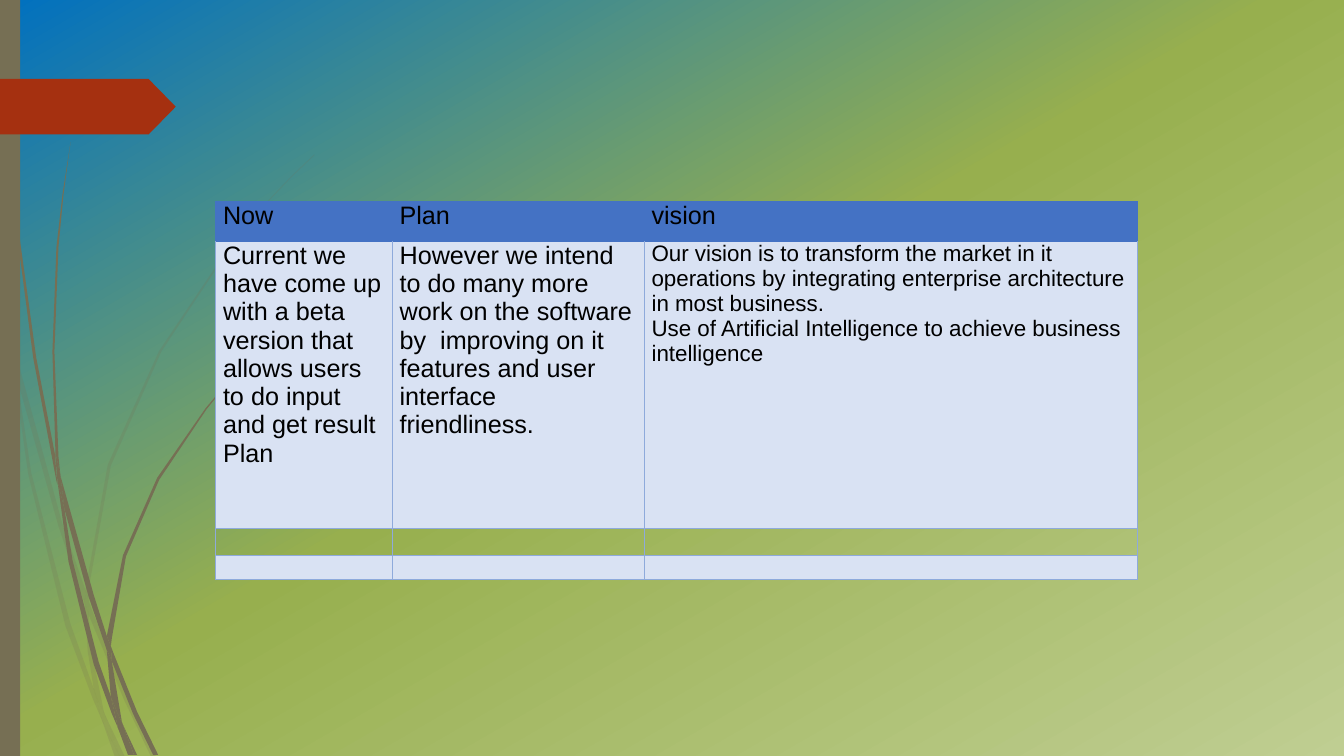
from copy import deepcopy

from lxml.etree import SubElement
from pptx import Presentation
from pptx.dml.color import RGBColor
from pptx.enum.shapes import MSO_SHAPE
from pptx.oxml.ns import qn
from pptx.util import Cm, Pt

COLORS = {
    "sky": "0070C0", "meadow": "97AF4E", "pale": "BFCE92",
    "bark": "766F54", "tag": "A53010", "text": "000000",
    "header": "4472C4", "band": "D9E2F3", "grid": "8EAADB",
}

# Outline corners of the grass blades, in units of GRASS_UNIT.
GRASS_UNIT = Cm(.0254)
FAINT_BLADES = [
    [(11, 350), (9, 322), (0, 282), (0, 299), (10, 344)],
    [(58, 522), (84, 599), (85, 586), (62, 520), (14, 345), (17, 376)],
    [(92, 607), (88, 596), (88, 610), (123, 694), (150, 751), (155, 751),
     (127, 692)],
    [(119, 751), (124, 751), (105, 711)],
    [(93, 683), (70, 619), (31, 469), (17, 376), (11, 350), (28, 470),
     (65, 621), (92, 693), (101, 714), (99, 707)],
    [(84, 599), (87, 646), (93, 683), (96, 692), (105, 711), (103, 706),
     (91, 646), (88, 610), (88, 608)],
    [(88, 584), (110, 462), (160, 349), (229, 245), (268, 198), (290, 175),
     (312, 154), (312, 153), (289, 175), (268, 197), (228, 244), (158, 348),
     (107, 461), (85, 584), (85, 586), (88, 596)],
    [(101, 714), (114, 751), (119, 751)],
    [(88, 608), (88, 610), (88, 596), (85, 586), (84, 599)],
    [(96, 692), (93, 683), (99, 707), (101, 714), (119, 751), (105, 711)],
]
SOLID_BLADES = [
    [(7, 110), (17, 233), (33, 355), (56, 477), (57, 481), (55, 457),
     (55, 453), (36, 355), (19, 232), (8, 109), (5, 48), (4, 0), (3, 0),
     (4, 48)],
    [(88, 592), (106, 645), (106, 633), (106, 631), (93, 590), (60, 472),
     (64, 505)],
    [(113, 649), (110, 641), (111, 656), (132, 708), (152, 749), (157, 749),
     (136, 706)],
    [(110, 691), (98, 657), (72, 556), (64, 505), (57, 477), (68, 557),
     (93, 659), (111, 708), (117, 722), (116, 717)],
    [(60, 472), (58, 453), (54, 349), (58, 245), (63, 193), (70, 141),
     (62, 193), (56, 245), (52, 349), (55, 449)],
    [(133, 749), (136, 749), (122, 719)],
    [(57, 477), (64, 505), (60, 472), (55, 449), (55, 453)],
    [(111, 633), (125, 552), (158, 476), (205, 406), (231, 374), (245, 359),
     (261, 344), (260, 344), (245, 358), (231, 373), (204, 405), (156, 474),
     (122, 551), (106, 631), (110, 641)],
    [(117, 722), (127, 749), (131, 749)],
    [(106, 645), (110, 691), (116, 706), (122, 719), (121, 716), (111, 656),
     (109, 651)],
    [(106, 645), (109, 651), (111, 656), (110, 641), (106, 631), (106, 633)],
    [(116, 706), (110, 691), (116, 717), (117, 722), (130, 749), (133, 749),
     (122, 719)],
]

COLUMN_WIDTHS = [4.45, 6.35, 12.42]
ROW_HEIGHTS = [1.01, 7.22, .69, .61]
ROADMAP = [
    ["Now", "Plan", "vision"],
    ["Current we have come up with a beta version that allows users to do "
     "input and get result\nPlan",
     "However we intend to do many more work on the software by  improving "
     "on it features and user interface friendliness.",
     "Our vision is to transform the market in it operations by integrating "
     "enterprise architecture in most business.\n"
     "Use of Artificial Intelligence to achieve business intelligence"],
    ["", "", ""],
    ["", "", ""],
]
ROW_FILLS = ["header", "band", None, "band"]


def rgb(name):
    return RGBColor.from_string(COLORS[name])


def paint_background(slide):
    fill = slide.background.fill
    fill.gradient()
    fill.gradient_angle = 300
    stop_list = slide.element.find(".//" + qn("a:gsLst"))
    stop_list.append(deepcopy(stop_list[-1]))
    stops = [(0, "sky"), (.48, "meadow"), (1, "pale")]
    for stop, (position, color) in zip(fill.gradient_stops, stops):
        stop.position = position
        stop.color.rgb = rgb(color)


def paint_shape(shape, color, opacity=100):
    shape.shadow.inherit = False
    shape.fill.solid()
    shape.fill.fore_color.rgb = rgb(color)
    shape.line.fill.background()
    if opacity < 100:
        solid = shape.element.spPr.find(".//" + qn("a:srgbClr"))
        SubElement(solid, qn("a:alpha"), val=str(opacity * 1000))


def add_blade(slide, corners, opacity):
    builder = slide.shapes.build_freeform(*corners[0], scale=GRASS_UNIT)
    builder.add_line_segments(corners[1:], close=True)
    paint_shape(builder.convert_to_shape(), "bark", opacity)


def add_block(slide, kind, color, top, width, height):
    block = slide.shapes.add_shape(kind, 0, Cm(top), Cm(width), Cm(height))
    paint_shape(block, color)
    return block


def set_borders(cell, **sides):
    properties = cell._tc.get_or_add_tcPr()
    for index, side in enumerate(["lnL", "lnR", "lnT", "lnB"]):
        line = properties.makeelement(qn("a:" + side), {"w": str(Pt(1))})
        fill = SubElement(line, qn("a:solidFill"))
        SubElement(fill, qn("a:srgbClr"), val=COLORS[sides[side]])
        properties.insert(index, line)


def fill_cell(cell, text, size, color):
    cell.margin_left = cell.margin_right = Cm(.18)
    cell.margin_top = cell.margin_bottom = 0
    if color:
        cell.fill.solid()
        cell.fill.fore_color.rgb = rgb(color)
    else:
        cell.fill.background()
    cell.text_frame.text = text
    for paragraph in cell.text_frame.paragraphs:
        for run in paragraph.runs:
            run.font.name = "Arial"
            run.font.size = Pt(size)
            run.font.color.rgb = rgb("text")
        if not paragraph.runs:
            SubElement(paragraph._p, qn("a:endParaRPr"), sz="1000")


def add_roadmap(slide):
    table = slide.shapes.add_table(
        len(ROW_HEIGHTS), len(COLUMN_WIDTHS), Cm(5.44), Cm(5.08),
        Cm(sum(COLUMN_WIDTHS)), Cm(sum(ROW_HEIGHTS))).table
    table.first_row = table.horz_banding = False
    for column, width in zip(table.columns, COLUMN_WIDTHS):
        column.width = Cm(width)
    for r, (row, height) in enumerate(zip(table.rows, ROW_HEIGHTS)):
        row.height = Cm(height)
        edge = "header" if r == 0 else "grid"
        top = "header" if r < 2 else "grid"
        for c, cell in enumerate(row.cells):
            size = 16 if (r, c) == (1, 2) else 18
            fill_cell(cell, ROADMAP[r][c], size, ROW_FILLS[r])
            set_borders(cell, lnL=edge, lnR=edge, lnT=top, lnB=edge)


def main():
    deck = Presentation()
    deck.slide_width, deck.slide_height = Cm(33.87), Cm(19.05)
    slide = deck.slides.add_slide(deck.slide_layouts[6])
    paint_background(slide)
    for blades, opacity in [(FAINT_BLADES, 20), (SOLID_BLADES, 100)]:
        for corners in blades:
            add_blade(slide, corners, opacity)
    add_block(slide, MSO_SHAPE.RECTANGLE, "bark", 0, .51, 19.05)
    tag = add_block(slide, MSO_SHAPE.PENTAGON, "tag", 1.99, 4.43, 1.4)
    tag.adjustments[0] = .49
    add_roadmap(slide)
    deck.save("out.pptx")


if __name__ == "__main__":
    main()
